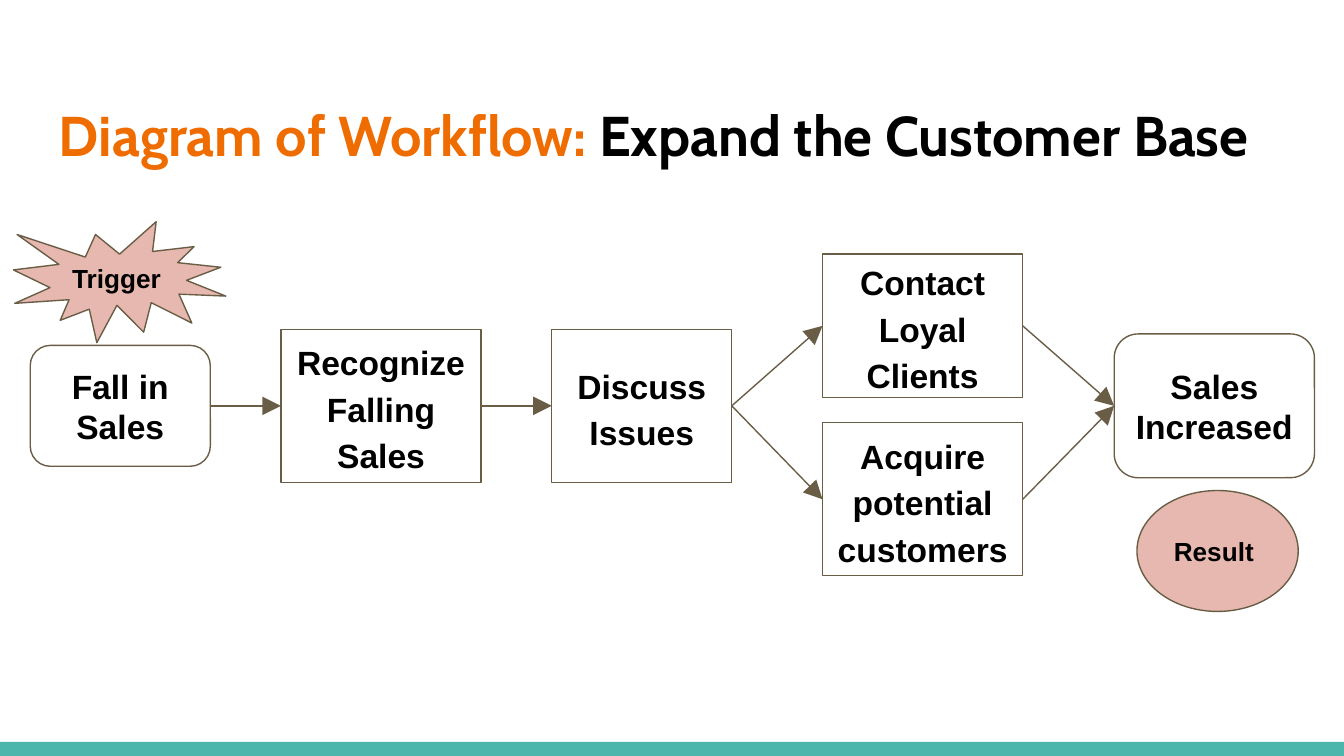
import pptx
import pptx.util
import pptx.dml.color
import pptx.enum.shapes
import pptx.enum.text
import pptx.oxml.ns
import lxml.etree

Kind = pptx.enum.shapes.MSO_SHAPE
Align = pptx.enum.text.PP_ALIGN
Mid = pptx.enum.text.MSO_ANCHOR.MIDDLE
qn = pptx.oxml.ns.qn

deck = pptx.Presentation()
deck.slide_width = pptx.util.Inches(10)
deck.slide_height = deck.slide_width * 9 // 16
col = deck.slide_width / 100
row = deck.slide_height / 56.25
slide = deck.slides.add_slide(deck.slide_layouts[6])
shapes = slide.shapes


def tint(code):
    return pptx.dml.color.RGBColor.from_string(code)


def write(shape, *runs, size=18, font="Arial", align=Align.CENTER, lead=1.0):
    frame = shape.text_frame
    frame.word_wrap = True
    frame.vertical_anchor = Mid
    frame.margin_left = frame.margin_right = round(col)
    frame.margin_top = frame.margin_bottom = round(row)
    para = frame.paragraphs[0]
    para.alignment = align
    para.line_spacing = lead
    for words, code in runs:
        run = para.add_run()
        run.text = words
        run.font.name = font
        run.font.size = pptx.util.Pt(size)
        run.font.bold = True
        run.font.color.rgb = tint(code)


ink, edge, white, pink = "000000", "695D46", "FFFFFF", "E6B8AF"

band = shapes.add_shape(Kind.RECTANGLE, 0, round(55.2 * row), deck.slide_width, round(1.05 * row))
band.shadow.inherit = False
band.fill.solid()
band.fill.fore_color.rgb = tint("4DB6AC")
band.line.fill.background()

title = shapes.add_textbox(*map(round, (3.4 * col, 6.1 * row, 93.2 * col, 7.7 * row)))
write(title, ("Diagram of Workflow: ", "EF6C00"), ("Expand the Customer Base", ink),
      size=30, font="Cabin", align=Align.LEFT)

box, pill = Kind.RECTANGLE, Kind.ROUNDED_RECTANGLE
steps = [
    ("Fall in Sales", pill, 2.25, 25.7, 13.4, 9),
    ("Recognize Falling Sales", box, 20.9, 24.5, 14.9, 11.4),
    ("Discuss Issues", box, 41.05, 24.5, 13.4, 11.4),
    ("Contact Loyal Clients", box, 61.2, 18.9, 14.9, 10.7),
    ("Acquire potential customers", box, 61.2, 31.45, 14.9, 11.4),
    ("Sales Increased", pill, 82.9, 24.85, 14.9, 10.7),
    ("Trigger", Kind.EXPLOSION1, 1, 16.5, 15.8, 9),
    ("Result", Kind.OVAL, 84.6, 36.5, 12, 9),
]
nodes = {}
for words, kind, left, top, wide, high in steps:
    node = shapes.add_shape(kind, *map(round, (left * col, top * row, wide * col, high * row)))
    note = kind not in (box, pill)
    node.shadow.inherit = False
    node.fill.solid()
    node.fill.fore_color.rgb = tint(pink if note else white)
    node.line.color.rgb = tint(edge)
    node.line.width = pptx.util.Pt(0.75)
    write(node, (words, ink), size=14 if note else 18,
          align=Align.LEFT if note else Align.CENTER, lead=1.15 if kind == box else 1.0)
    nodes[words.split()[0]] = node

links = [
    ("Fall", "Recognize"), ("Recognize", "Discuss"),
    ("Discuss", "Contact"), ("Discuss", "Acquire"),
    ("Contact", "Sales"), ("Acquire", "Sales"),
]
for start, end in links:
    link = shapes.add_connector(pptx.enum.shapes.MSO_CONNECTOR.STRAIGHT, 0, 0, 0, 0)
    link.begin_connect(nodes[start], 3)
    link.end_connect(nodes[end], 1)
    link.line.color.rgb = tint(edge)
    link.line.width = pptx.util.Pt(0.75)
    props = link.element.spPr
    lxml.etree.SubElement(props.find(qn("a:ln")), qn("a:tailEnd"), type="triangle", w="lg", len="lg")
    lxml.etree.SubElement(props, qn("a:effectLst"))

deck.save("out.pptx")
